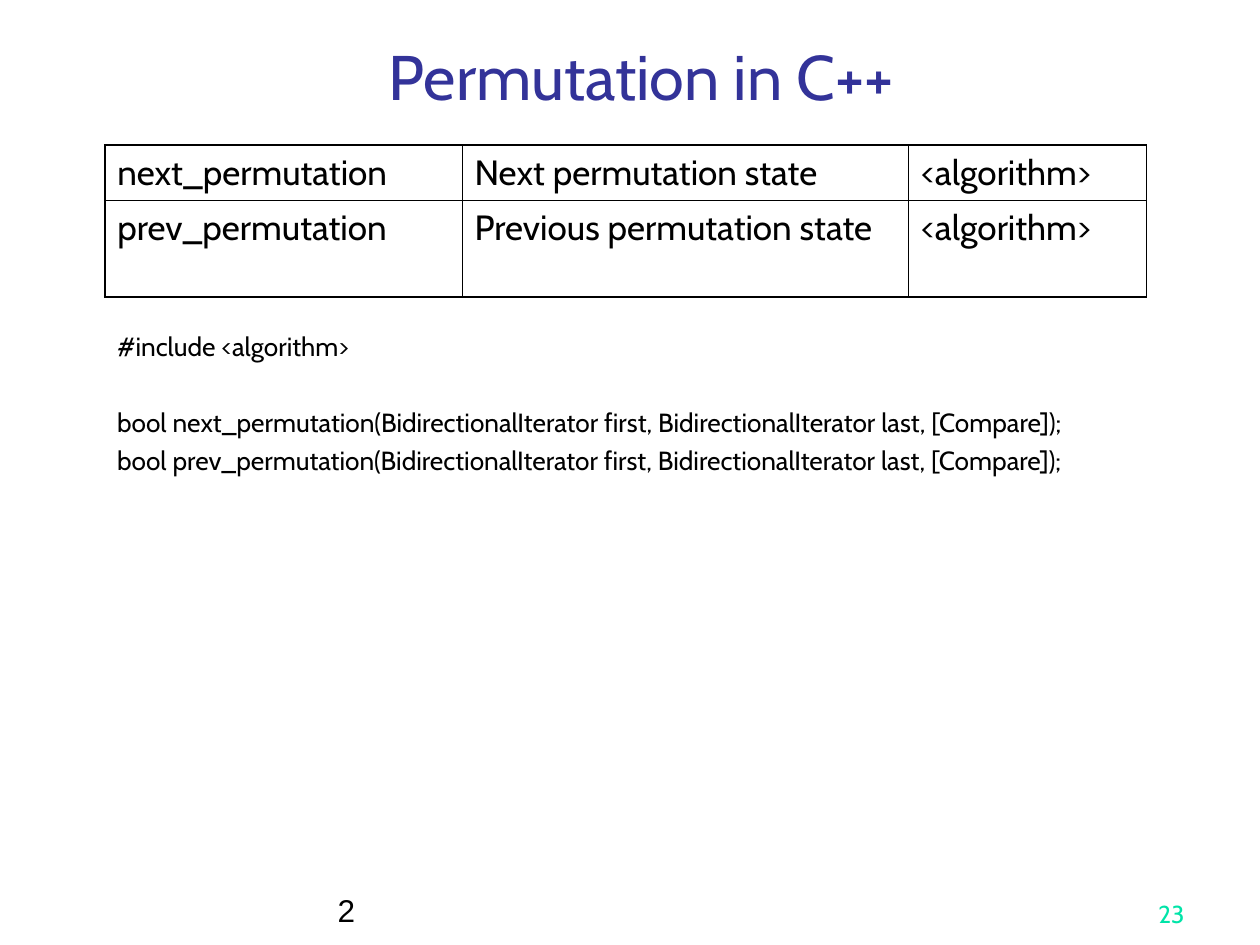
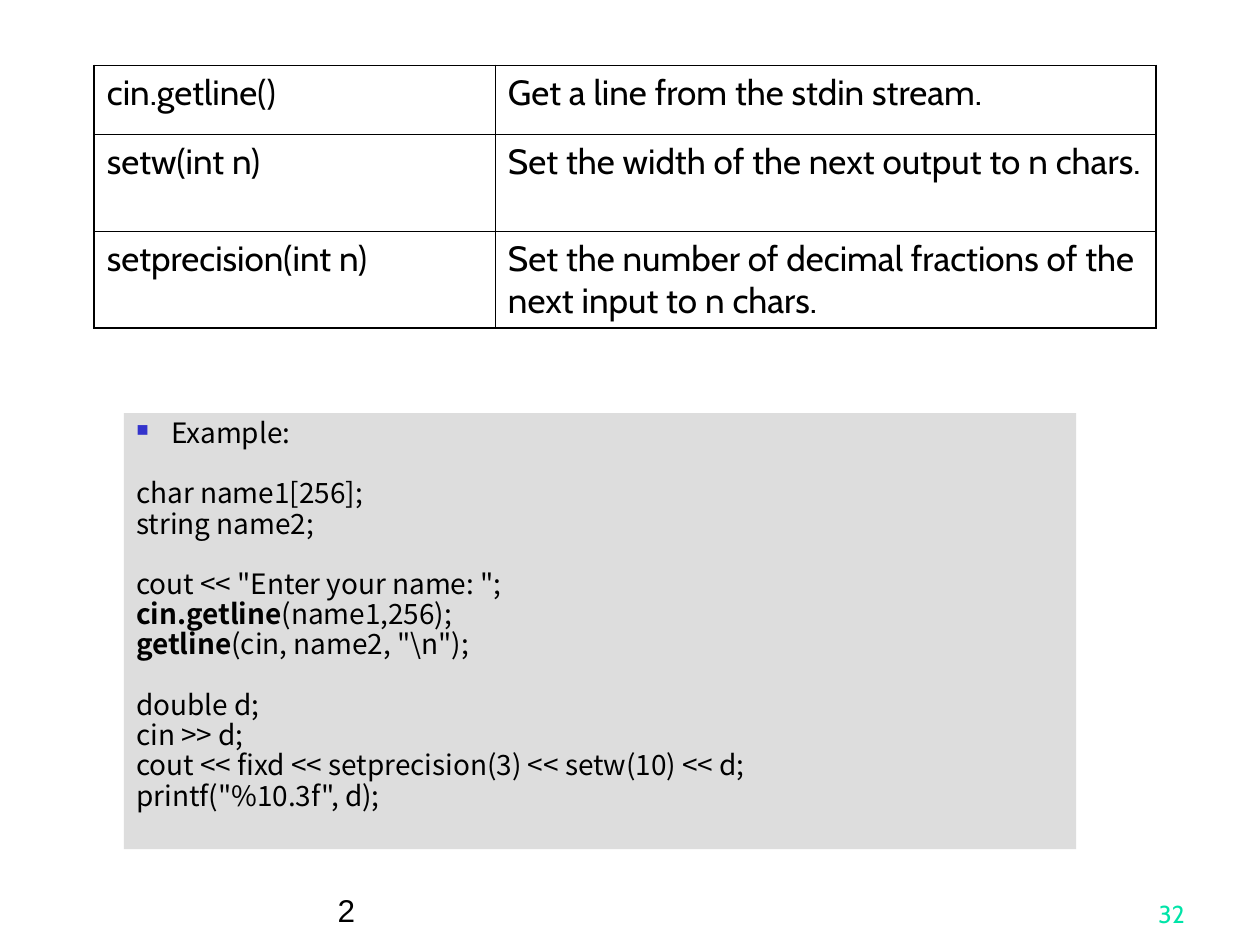
from lxml.etree import SubElement
from pptx import Presentation
from pptx.dml.color import RGBColor
from pptx.enum.shapes import MSO_SHAPE
from pptx.enum.text import MSO_ANCHOR, PP_ALIGN
from pptx.oxml.ns import qn
from pptx.util import Pt

COLORS = {
    "title": "333399",
    "ink": "000000",
    "number": "00E4A8",
    "panel": "DDDDDD",
    "bullet": "3333CC",
}
HEADING_FONT, CODE_FONT, FOOTER_FONT = "Cabin", "Noto Sans CJK SC", "Arial"
OUTER_BORDER, INNER_BORDER = 1.08, 0.45
SECTION = "2"

PERMUTATION = {
    "title": "Permutation in C++",
    "rows": [
        ("next_permutation", "Next permutation state", "<algorithm>"),
        ("prev_permutation", "Previous permutation state", "<algorithm>"),
    ],
    "origin": (59.8, 82.9),
    "widths": (204.2, 255, 136.1),
    "heights": (31.5, 55.4),
    "number": "23",
}
SIGNATURES = [
    ["#include <algorithm>"],
    [
        "bool next_permutation(BidirectionalIterator first, BidirectionalIterator last, [Compare]);",
        "bool prev_permutation(BidirectionalIterator first, BidirectionalIterator last, [Compare]);",
    ],
]

STREAMS = {
    "rows": [
        ("cin.getline()", "Get a line from the stdin stream."),
        ("setw(int n)", "Set the width of the next output to n chars."),
        ("setprecision(int n)", "Set the number of decimal fractions of the next input to n chars."),
    ],
    "origin": (53.9, 37.4),
    "widths": (229.2, 377.5),
    "heights": (39.2, 55.4, 55.4),
    "number": "32",
}
EXAMPLE = [
    ["Example:"],
    ["char name1[256];", "string name2;"],
    [
        'cout << "Enter your name: ";',
        ("cin.getline", "(name1,256);"),
        ("getline", '(cin, name2, "\\n");'),
    ],
    [
        "double d;",
        "cin >> d;",
        "cout << fixd << setprecision(3) << setw(10) << d;",
        'printf("%10.3f", d);',
    ],
]


def color(key):
    return RGBColor.from_string(COLORS[key])


def add_run(paragraph, text, size, font=HEADING_FONT, ink="ink", bold=False):
    run = paragraph.add_run()
    run.text = text
    run.font.size = Pt(size)
    run.font.name = font
    run.font.bold = bold
    run.font.color.rgb = color(ink)


def add_frame(slide, left, top, width, height, anchor=MSO_ANCHOR.TOP):
    frame = slide.shapes.add_textbox(Pt(left), Pt(top), Pt(width), Pt(height)).text_frame
    frame.word_wrap = True
    frame.vertical_anchor = anchor
    return frame


def add_label(slide, box, text, align, **style):
    paragraph = add_frame(slide, *box, MSO_ANCHOR.BOTTOM).paragraphs[0]
    paragraph.alignment = align
    add_run(paragraph, text, **style)


def add_groups(frame, groups, size, font, line_gap, group_gap, spacing=1.0):
    for g, group in enumerate(groups):
        for n, line in enumerate(group):
            first = g == n == 0
            paragraph = frame.paragraphs[0] if first else frame.add_paragraph()
            paragraph.alignment = PP_ALIGN.LEFT
            paragraph.line_spacing = spacing
            if not first:
                paragraph.space_before = Pt(line_gap if n else group_gap)
            call, rest = ("", line) if isinstance(line, str) else line
            if call:
                add_run(paragraph, call, size, font, bold=True)
            add_run(paragraph, rest, size, font)


def add_border(cell, side, width):
    line = SubElement(cell._tc.get_or_add_tcPr(), qn(f"a:ln{side}"), w=str(Pt(width)))
    fill = SubElement(line, qn("a:solidFill"))
    SubElement(fill, qn("a:srgbClr"), val=COLORS["ink"])


def add_reference(slide, rows, origin, widths, heights):
    left, top = origin
    table = slide.shapes.add_table(
        len(rows), len(widths), Pt(left), Pt(top), Pt(sum(widths)), Pt(sum(heights))
    ).table
    table.first_row = table.horz_banding = False
    for column, width in zip(table.columns, widths):
        column.width = Pt(width)
    for r, (entries, height) in enumerate(zip(rows, heights)):
        table.rows[r].height = Pt(height)
        for c, entry in enumerate(entries):
            cell = table.cell(r, c)
            edges = {
                "L": c == 0,
                "R": c == len(widths) - 1,
                "T": r == 0,
                "B": r == len(rows) - 1,
            }
            for side, outer in edges.items():
                add_border(cell, side, OUTER_BORDER if outer else INNER_BORDER)
            cell.fill.background()
            add_run(cell.text_frame.paragraphs[0], entry, 20)


def add_bullet(paragraph, indent):
    properties = paragraph._p.get_or_add_pPr()
    properties.set("marL", str(Pt(indent)))
    properties.set("indent", str(-Pt(indent)))
    tint = SubElement(properties, qn("a:buClr"))
    SubElement(tint, qn("a:srgbClr"), val=COLORS["bullet"])
    SubElement(properties, qn("a:buSzPct"), val="60000")
    SubElement(properties, qn("a:buChar"), char="■")


def add_example(slide):
    panel = slide.shapes.add_shape(MSO_SHAPE.RECTANGLE, Pt(70.8), Pt(236), Pt(544.2), Pt(249.2))
    panel.shadow.inherit = False
    panel.fill.solid()
    panel.fill.fore_color.rgb = color("panel")
    panel.line.fill.background()
    frame = panel.text_frame
    frame.word_wrap = True
    frame.vertical_anchor = MSO_ANCHOR.TOP
    add_groups(frame, EXAMPLE, 16, CODE_FONT, 0, 17.3, 0.9)
    add_bullet(frame.paragraphs[0], 20)


def add_slide(deck, content):
    slide = deck.slides.add_slide(deck.slide_layouts[6])
    if "title" in content:
        add_label(slide, (59.8, 15.1, 613.4, 53.3), content["title"], PP_ALIGN.CENTER,
                  size=36, ink="title")
    add_reference(slide, content["rows"], content["origin"], content["widths"], content["heights"])
    add_label(slide, (185.8, 498.2, 390.2, 36), SECTION, PP_ALIGN.LEFT, size=18, font=FOOTER_FONT)
    add_label(slide, (534.2, 498.2, 149.8, 36), content["number"], PP_ALIGN.RIGHT,
              size=14, ink="number")
    return slide


def main():
    deck = Presentation()
    deck.slide_width, deck.slide_height = Pt(720), Pt(540)
    permutation = add_slide(deck, PERMUTATION)
    signatures = add_frame(permutation, 59.8, 185, 612.7, 170)
    add_groups(signatures, SIGNATURES, 15, HEADING_FONT, 3.7, 25.4)
    add_example(add_slide(deck, STREAMS))
    deck.save("out.pptx")


if __name__ == "__main__":
    main()
